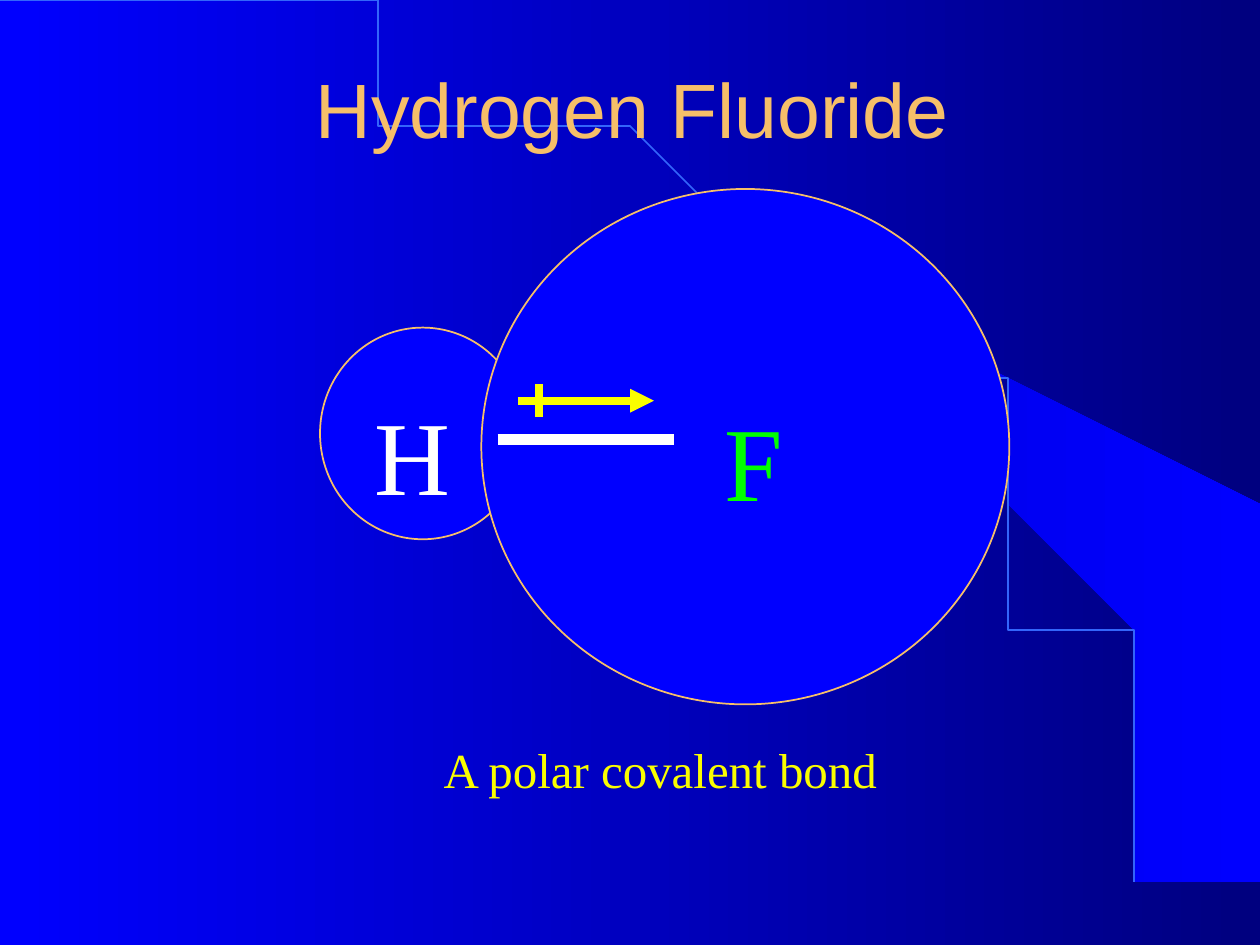
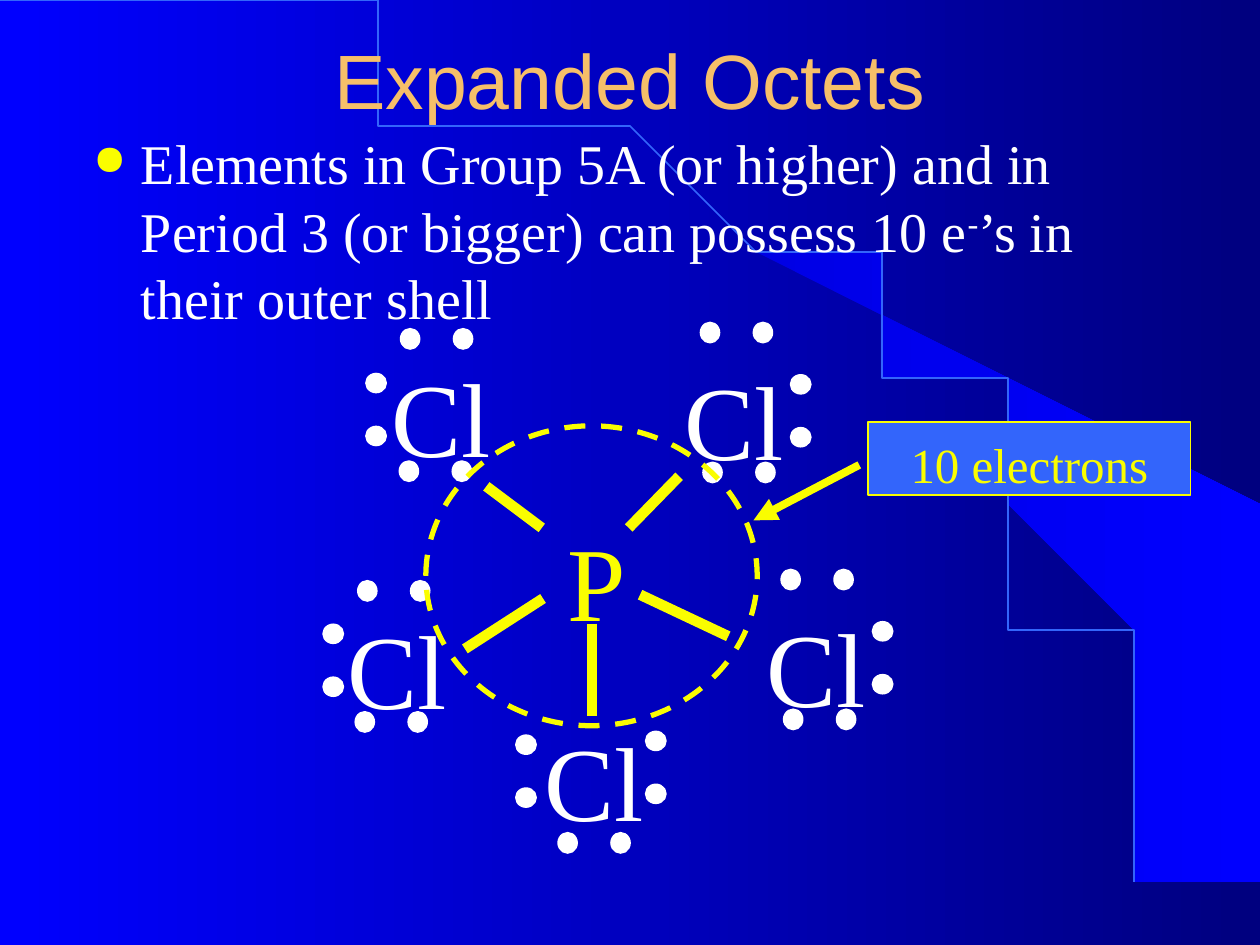
"""Build two chemistry slides: a polar covalent bond and an expanded octet."""
from math import cos, pi, sin

from lxml import etree
from pptx import Presentation
from pptx.dml.color import RGBColor
from pptx.enum.dml import MSO_LINE
from pptx.enum.shapes import MSO_CONNECTOR, MSO_SHAPE
from pptx.enum.text import MSO_ANCHOR, PP_ALIGN
from pptx.oxml.ns import qn
from pptx.util import Inches, Pt

OVAL, RECTANGLE = MSO_SHAPE.OVAL, MSO_SHAPE.RECTANGLE
STRAIGHT, DASH = MSO_CONNECTOR.STRAIGHT, MSO_LINE.DASH
TOP, MIDDLE = MSO_ANCHOR.TOP, MSO_ANCHOR.MIDDLE
LEFT, CENTER = PP_ALIGN.LEFT, PP_ALIGN.CENTER

BLUE = RGBColor(0x00, 0x00, 0xFF)
NAVY = RGBColor(0x00, 0x00, 0x7F)
DEEP_BLUE = RGBColor(0x00, 0x00, 0xE5)
SKY = RGBColor(0x33, 0x65, 0xFB)
GOLD = RGBColor(0xF6, 0xBF, 0x69)
YELLOW = RGBColor(0xFA, 0xFD, 0x00)
GREEN = RGBColor(0x00, 0xFF, 0x00)
WHITE = RGBColor(0xFF, 0xFF, 0xFF)
SERIF, SANS = "Times New Roman", "Arial"


def write(shape, *runs, size=60, color=WHITE, font=SERIF, align=CENTER, anchor=TOP, bullet=False):
    """Write runs into a shape; every second run is superscript."""
    frame = shape.text_frame
    frame.word_wrap = True
    frame.vertical_anchor = anchor
    if anchor == TOP:
        frame.margin_top = Inches(0.05 + size / 600)
    paragraph = frame.paragraphs[0]
    paragraph.alignment = align
    if bullet:
        properties = paragraph._p.get_or_add_pPr()
        properties.set("marL", str(Inches(0.38)))
        properties.set("indent", str(Inches(-0.38)))
        bullet_color = etree.SubElement(properties, qn("a:buClr"))
        etree.SubElement(bullet_color, qn("a:srgbClr"), val=str(YELLOW))
        etree.SubElement(properties, qn("a:buSzPct"), val="75000")
        etree.SubElement(properties, qn("a:buChar"), char="●")
    for index, text in enumerate(runs):
        run = paragraph.add_run()
        run.text = text
        run.font.size = Pt(size)
        run.font.name = font
        run.font.color.rgb = color
        if index % 2:
            run._r.get_or_add_rPr().set("baseline", "30000")


def paint(shape, color, width=1, fill=None, arrow=False):
    """Give a shape or connector its line, fill and arrowhead, without shadow."""
    shape.line.color.rgb = color
    shape.line.width = Pt(width)
    if fill is not None:
        shape.fill.solid()
        shape.fill.fore_color.rgb = fill
    properties = shape._element.spPr
    if arrow:
        etree.SubElement(properties.find(qn("a:ln")), qn("a:tailEnd"), type="triangle")
    etree.SubElement(properties, qn("a:effectLst"))


prs = Presentation()
prs.slide_width, prs.slide_height = Inches(10), Inches(7.5)

backdrop = prs.slide_master.background.fill
backdrop.gradient()
backdrop.gradient_angle = 0
for stop, color in zip(backdrop.gradient_stops, (BLUE, NAVY)):
    stop.color.rgb = color

BEAM = [
    (9.2, 7.48), (9.99, 7.49), (9.99, 4.23), (5.89, 1.73), (6.24, 1.99), (6.53, 2.22),
    (6.85, 2.5), (7.16, 2.8), (7.62, 3.3), (8.03, 3.84), (8.32, 4.31), (8.58, 4.79),
    (8.78, 5.28), (8.93, 5.72), (9.03, 6.09), (9.13, 6.56), (9.17, 6.96),
]
ARC_STEPS = 90
ARC = [
    (0.01 + 9.17 * sin(pi / 2 * step / ARC_STEPS), 7.49 - 7.47 * cos(pi / 2 * step / ARC_STEPS))
    for step in range(ARC_STEPS + 1)
]

slides = []
for title, left, top in [("Hydrogen Fluoride", 0.77, 0.23), ("Expanded Octets", 0.75, 0)]:
    slide = prs.slides.add_slide(prs.slide_layouts[6])
    slides.append(slide)
    outlines = []
    for points, closed in ((BEAM, True), (ARC, False)):
        builder = slide.shapes.build_freeform(*points[0], scale=Inches(1))
        builder.add_line_segments(points[1:], close=closed)
        outlines.append(builder.convert_to_shape())
    beam, arc = outlines
    beam.shadow.inherit = False
    beam.line.fill.background()
    beam.fill.gradient()
    beam.fill.gradient_angle = 0
    for stop, color in zip(beam.fill.gradient_stops, (DEEP_BLUE, BLUE)):
        stop.color.rgb = color
    arc.fill.background()
    paint(arc, SKY)
    heading = slide.shapes.add_textbox(Inches(left), Inches(top), Inches(8.5), Inches(1.25))
    write(heading, title, size=44, color=GOLD, font=SANS, anchor=MIDDLE)

fluoride, octets = slides

for box in [(2.54, 2.6, 1.63, 1.68), (3.82, 1.5, 4.19, 4.09)]:
    cloud = fluoride.shapes.add_shape(OVAL, *map(Inches, box))
    paint(cloud, GOLD, fill=BLUE)

for text, box, size, color in [
    ("F", (5.23, 3, 1.5, 1.1), 60, GREEN),
    ("H", (2.52, 2.95, 1.5, 1.1), 60, WHITE),
    ("A polar covalent bond", (1.23, 5.77, 8.02, 0.57), 28, YELLOW),
]:
    write(fluoride.shapes.add_textbox(*map(Inches, box)), text, size=size, color=color)

for ends, color, width, arrow in [
    ((3.95, 3.49, 5.35, 3.49), WHITE, 6, False),
    ((4.11, 3.18, 5.19, 3.18), YELLOW, 4.5, True),
    ((4.28, 3.05, 4.28, 3.31), YELLOW, 4.5, False),
]:
    stroke = fluoride.shapes.add_connector(STRAIGHT, *map(Inches, ends))
    paint(stroke, color, width, arrow=arrow)

rule = octets.shapes.add_textbox(Inches(0.64), Inches(0.92), Inches(8.5), Inches(4.5))
write(
    rule,
    "Elements in Group 5A (or higher) and in Period 3 (or bigger) can possess 10 e",
    "-",
    "’s in their outer shell",
    size=32, align=LEFT, bullet=True,
)

for symbol, left, top, color in [
    ("Cl", 2.94, 2.65, WHITE),
    ("P", 4.17, 3.95, YELLOW),
    ("Cl", 5.26, 2.67, WHITE),
    ("Cl", 4.15, 5.54, WHITE),
    ("Cl", 5.91, 4.63, WHITE),
    ("Cl", 2.59, 4.65, WHITE),
]:
    atom = octets.shapes.add_textbox(Inches(left), Inches(top), Inches(1.13), Inches(1.1))
    write(atom, symbol, color=color)

PAIR_GAP = 0.42
SIDE_PAIRS = [(6.28, 2.97), (5.13, 5.8), (4.1, 5.83), (2.91, 2.96), (6.93, 4.93), (2.57, 4.95)]
LEVEL_PAIRS = [
    (3.18, 2.61), (3.17, 3.66), (4.43, 6.61), (5.58, 3.67), (5.56, 2.56),
    (6.22, 5.63), (6.2, 4.52), (2.84, 4.61), (2.82, 5.65),
]
for pairs, step_x, step_y, turn in [(SIDE_PAIRS, 0, PAIR_GAP, 270), (LEVEL_PAIRS, PAIR_GAP, 0, 0)]:
    for left, top in pairs:
        for place in range(2):
            electron = octets.shapes.add_shape(
                OVAL, Inches(left + place * step_x), Inches(top + place * step_y),
                Inches(0.15), Inches(0.16),
            )
            electron.rotation = turn
            paint(electron, WHITE, fill=WHITE)

for ends in [
    (3.86, 3.86, 4.3, 4.19),
    (4.99, 4.19, 5.39, 3.78),
    (4.7, 4.95, 4.7, 5.68),
    (3.69, 5.15, 4.31, 4.75),
    (5.08, 4.72, 5.78, 5.05),
]:
    paint(octets.shapes.add_connector(STRAIGHT, *map(Inches, ends)), YELLOW, 6)

shell = octets.shapes.add_shape(OVAL, Inches(3.38), Inches(3.38), Inches(2.63), Inches(2.38))
shell.fill.background()
paint(shell, YELLOW, 3)
shell.line.dash_style = DASH

count = octets.shapes.add_shape(RECTANGLE, Inches(6.89), Inches(3.35), Inches(2.56), Inches(0.58))
paint(count, YELLOW, fill=SKY)
write(count, "10 electrons", size=28, color=YELLOW)

pointer = octets.shapes.add_connector(STRAIGHT, Inches(6.82), Inches(3.69), Inches(5.98), Inches(4.13))
paint(pointer, YELLOW, 4.5, arrow=True)

prs.save("out.pptx")
